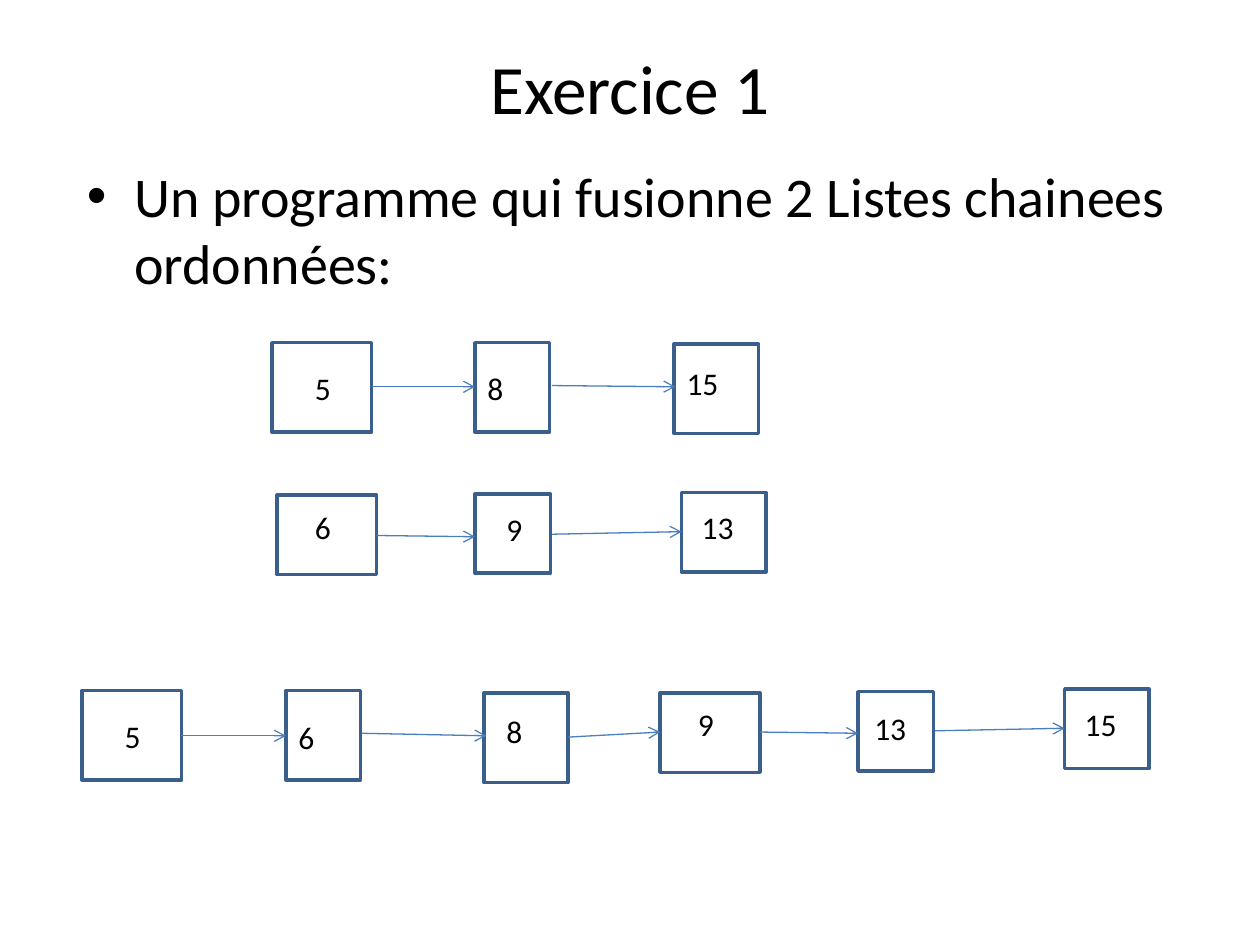
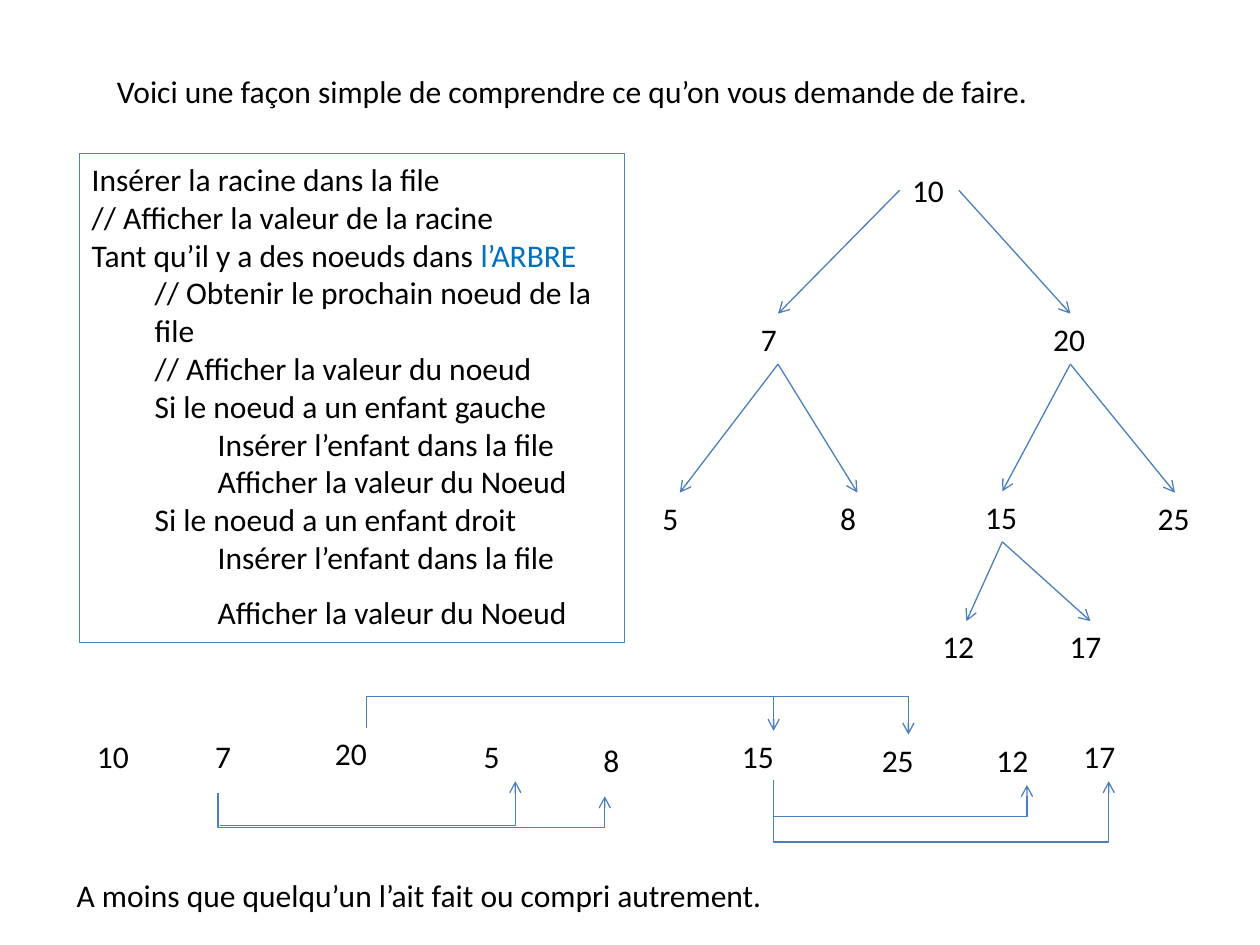
from lxml import etree
from pptx import Presentation
from pptx import util as u
from pptx.dml.color import RGBColor
from pptx.enum import shapes, text
from pptx.oxml import ns

BLACK = "000000"
HIGHLIGHT = "0070C0"
NODE_LINE = "3A5F8C"
ARROW_LINE = "4B7EBC"
CODE_LINE = "4F81BD"


def rgb(hex_colour):
    return RGBColor.from_string(hex_colour)


class Deck:
    font_name = "Calibri"
    text_size = 18
    label_height = 0.4

    def __init__(self):
        self.presentation = Presentation()
        self.presentation.slide_width = u.Inches(10)
        self.presentation.slide_height = u.Inches(7.5)
        self.slide = None

    def add_slide(self, layout_index):
        layout = self.presentation.slide_layouts[layout_index]
        self.slide = self.presentation.slides.add_slide(layout)

    def style(self, font, size=text_size, colour=BLACK):
        font.name = self.font_name
        font.size = u.Pt(size)
        font.color.rgb = rgb(colour)

    def placeholder(self, index, content, left, top, width, height, size):
        shape = self.slide.placeholders[index]
        shape.left, shape.top = u.Inches(left), u.Inches(top)
        shape.width, shape.height = u.Inches(width), u.Inches(height)
        frame = shape.text_frame
        frame.text = content
        frame.auto_size = text.MSO_AUTO_SIZE.NONE
        paragraph = frame.paragraphs[0]
        paragraph.space_before = u.Pt(0)
        self.style(paragraph.runs[0].font, size)

    def label(self, content, left, top, width):
        box = self.slide.shapes.add_textbox(
            u.Inches(left), u.Inches(top), u.Inches(width), u.Inches(self.label_height))
        frame = box.text_frame
        frame.word_wrap = True
        frame.text = content
        self.style(frame.paragraphs[0].runs[0].font)

    def rectangle(self, left, top, width, height, colour, line_width):
        shape = self.slide.shapes.add_shape(
            shapes.MSO_SHAPE.RECTANGLE,
            u.Inches(left), u.Inches(top), u.Inches(width), u.Inches(height))
        shape.shadow.inherit = False
        shape.fill.background()
        shape.line.color.rgb = rgb(colour)
        shape.line.width = u.Pt(line_width)
        return shape

    def code_box(self, lines, left, top, width, height):
        """Each line is (indent in inches, space after in points, (run, colour) pairs)."""
        shape = self.rectangle(left, top, width, height, CODE_LINE, 0.75)
        frame = shape.text_frame
        frame.word_wrap = True
        frame.vertical_anchor = text.MSO_ANCHOR.TOP
        for number, (indent, space_after, runs) in enumerate(lines):
            paragraph = frame.add_paragraph() if number else frame.paragraphs[0]
            paragraph.alignment = text.PP_ALIGN.LEFT
            paragraph.space_after = u.Pt(space_after)
            paragraph._p.get_or_add_pPr().set("marL", str(u.Inches(indent)))
            for content, colour in runs:
                run = paragraph.add_run()
                run.text = content
                self.style(run.font, colour=colour)

    def arrow(self, start, end, kind=shapes.MSO_CONNECTOR.STRAIGHT):
        connector = self.slide.shapes.add_connector(
            kind, *(u.Inches(value) for value in (*start, *end)))
        connector.line.color.rgb = rgb(ARROW_LINE)
        connector.line.width = u.Pt(0.75)
        line = connector.line._get_or_add_ln()
        etree.SubElement(line, ns.qn("a:tailEnd"), type="arrow")
        etree.SubElement(connector._element.spPr, ns.qn("a:effectLst"))
        return connector

    def corner_arrow(self, start, end):
        """Run sideways first, then turn once towards the end."""
        connector = self.arrow(start, end, shapes.MSO_CONNECTOR.ELBOW)
        connector._element.spPr.find(ns.qn("a:prstGeom")).set("prst", "bentConnector2")

    def bracket_arrow(self, start, end, level):
        """Leave start vertically, run along level, then reach end; end is below start."""
        (x1, y1), (x2, y2) = start, end
        middle_x, middle_y = (x1 + x2) / 2, (y1 + y2) / 2
        half_run, half_drop = (x2 - x1) / 2, (y2 - y1) / 2
        connector = self.arrow((middle_x + half_drop, middle_y - half_run),
                               (middle_x - half_drop, middle_y + half_run),
                               shapes.MSO_CONNECTOR.ELBOW)
        properties = connector._element.spPr
        properties.find(ns.qn("a:xfrm")).set("rot", str(270 * 60000))
        geometry = properties.find(ns.qn("a:prstGeom"))
        guides = geometry.find(ns.qn("a:avLst"))
        if guides is None:
            guides = etree.SubElement(geometry, ns.qn("a:avLst"))
        bend = round((level - y1) / (y2 - y1) * 100000)
        etree.SubElement(guides, ns.qn("a:gd"), name="adj1", fmla=f"val {bend}")

    def linked_list(self, nodes, links):
        """Each node is (value, box, label), each link (start, end)."""
        for value, box, label in nodes:
            self.rectangle(*box, NODE_LINE, 2)
            self.label(value, *label)
        for start, end in links:
            self.arrow(start, end)


def build_merge_slide(deck):
    deck.add_slide(1)
    deck.placeholder(0, "Exercice 1", 0.5, 0.3, 9, 0.77, 39.6)
    deck.placeholder(1, "Un programme qui fusionne 2 Listes chainees ordonnées:",
                     0.59, 1.23, 9, 1.1, 32)
    deck.linked_list(
        [("5", (2.16, 2.72, 0.79, 0.71), (2.4, 2.88, 0.39)),
         ("8", (3.77, 2.72, 0.59, 0.71), (3.77, 2.88, 0.55)),
         ("15", (5.35, 2.73, 0.67, 0.71), (5.35, 2.84, 0.55))],
        [((2.95, 3.07), (3.77, 3.07)), ((4.38, 3.06), (5.36, 3.07))])
    deck.linked_list(
        [("6", (2.2, 3.93, 0.79, 0.63), (2.4, 3.98, 0.47)),
         ("9", (3.77, 3.92, 0.6, 0.63), (3.92, 4, 0.44)),
         ("13", (5.41, 3.91, 0.67, 0.63), (5.47, 3.98, 0.55))],
        [((2.99, 4.25), (3.77, 4.26)), ((4.38, 4.24), (5.41, 4.22))])
    deck.linked_list(
        [("5", (0.65, 5.48, 0.79, 0.71), (0.89, 5.64, 0.39)),
         ("6", (2.27, 5.48, 0.59, 0.71), (2.27, 5.65, 0.55)),
         ("8", (3.84, 5.5, 0.67, 0.71), (3.92, 5.6, 0.55)),
         ("9", (5.24, 5.5, 0.79, 0.63), (5.44, 5.55, 0.47)),
         ("13", (6.81, 5.49, 0.6, 0.63), (6.84, 5.58, 0.55)),
         ("15", (8.45, 5.47, 0.67, 0.63), (8.51, 5.55, 0.55))],
        [((1.44, 5.84), (2.27, 5.84)), ((2.87, 5.82), (3.86, 5.84)),
         ((4.51, 5.85), (5.24, 5.81)), ((6.03, 5.81), (6.81, 5.82)),
         ((7.42, 5.8), (8.45, 5.78))])


def build_tree_slide(deck):
    deck.add_slide(6)
    deck.label("Voici une façon simple de comprendre ce qu’on vous demande de faire.",
               0.83, 0.52, 8.27)
    deck.code_box([
        (0, 0, [("Insérer la racine dans la file", BLACK)]),
        (0, 0, [("// Afficher la valeur de la racine", BLACK)]),
        (0, 0, [("Tant qu’il y a des noeuds dans ", BLACK), ("l’ARBRE", HIGHLIGHT)]),
        (0.5, 0, [("// Obtenir le prochain noeud de la file", BLACK)]),
        (0.5, 0, [("// Afficher la valeur du noeud", BLACK)]),
        (0.5, 0, [("Si le noeud a un enfant gauche", BLACK)]),
        (1, 0, [("Insérer l’enfant dans la file", BLACK)]),
        (1, 0, [("Afficher la valeur du Noeud", BLACK)]),
        (0.5, 0, [("Si le noeud a un enfant droit", BLACK)]),
        (1, 10, [("Insérer l’enfant dans la file", BLACK)]),
        (1, 10, [("Afficher la valeur du Noeud", BLACK)]),
    ], 0.63, 1.22, 4.33, 3.88)

    tree_nodes = {"10": (7.14, 1.31, 0.47), "7": (5.94, 2.49, 0.47),
                  "20": (8.26, 2.49, 0.47), "5": (5.16, 3.91, 0.47),
                  "8": (6.57, 3.91, 0.47), "15": (7.72, 3.9, 0.47),
                  "25": (9.09, 3.91, 0.47), "12": (7.38, 4.93, 0.58),
                  "17": (8.39, 4.93, 0.53)}
    for value, place in tree_nodes.items():
        deck.label(value, *place)

    def top_of(value):
        left, top, width = tree_nodes[value]
        return left + width / 2, top

    root_left, root_top, root_width = tree_nodes["10"]
    root_middle = root_top + deck.label_height / 2
    deck.arrow((root_left, root_middle), top_of("7"))
    deck.arrow((root_left + root_width, root_middle), top_of("20"))
    for parent, children in {"7": ("5", "8"), "20": ("15", "25"),
                             "15": ("12", "17")}.items():
        x, y = top_of(parent)
        for child in children:
            deck.arrow((x, y + deck.label_height), top_of(child))

    for value, left, top, width in [
            ("10", 0.67, 5.8, 0.71), ("7", 1.61, 5.8, 0.71), ("20", 2.56, 5.78, 0.71),
            ("5", 3.74, 5.8, 0.71), ("8", 4.69, 5.83, 0.71), ("15", 5.79, 5.8, 0.71),
            ("25", 6.9, 5.83, 0.62), ("12", 7.81, 5.83, 0.69), ("17", 8.5, 5.8, 0.6)]:
        deck.label(value, left, top, width)
    for start, end, level in [
            ((2.91, 5.78), (6.14, 5.8), 5.53), ((2.91, 5.78), (7.21, 5.83), 5.53),
            ((1.73, 6.29), (4.8, 6.32), 6.57), ((6.14, 6.2), (8.15, 6.23), 6.48),
            ((6.14, 6.19), (8.8, 6.2), 6.69)]:
        deck.bracket_arrow(start, end, level)
    deck.corner_arrow((1.75, 6.55), (4.09, 6.2))
    deck.label("A moins que quelqu’un l’ait fait ou compri autrement.", 0.51, 6.9, 7.54)


def main():
    deck = Deck()
    build_merge_slide(deck)
    build_tree_slide(deck)
    deck.presentation.save("out.pptx")


if __name__ == "__main__":
    main()
